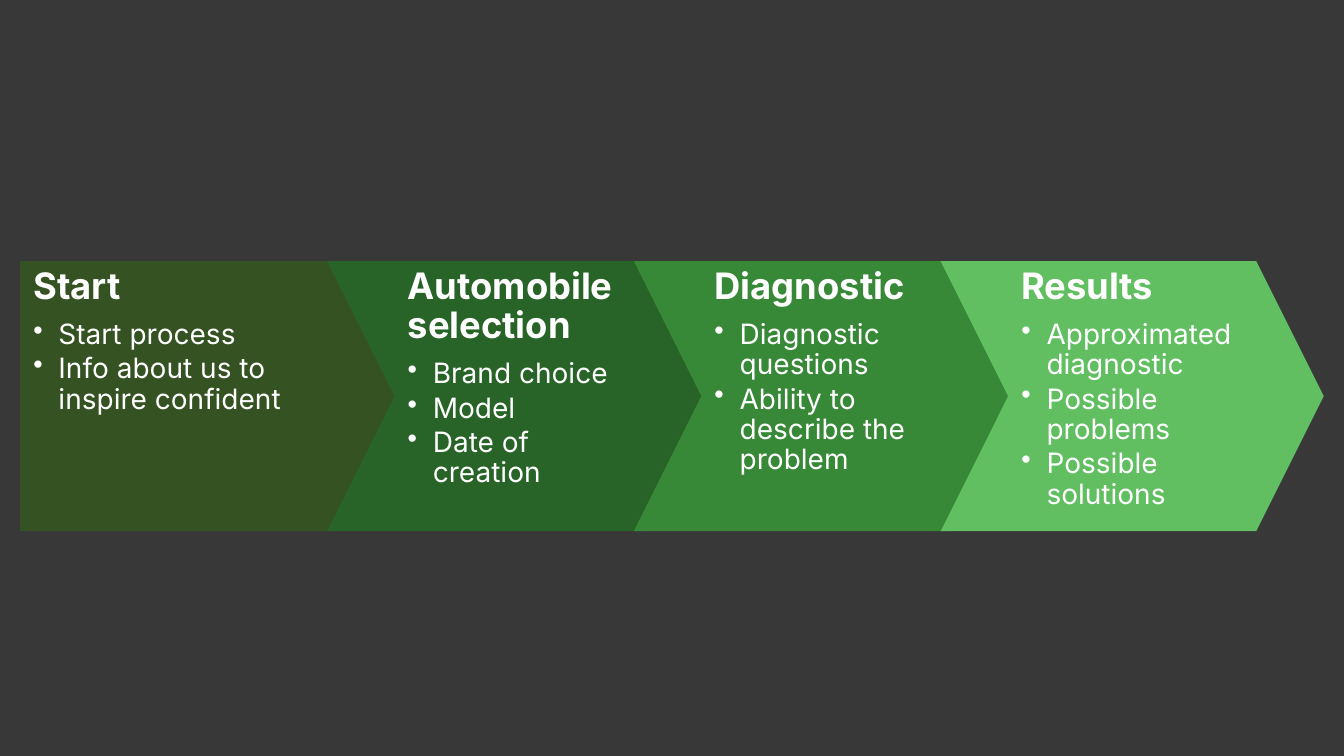
from lxml.etree import SubElement
from pptx import Presentation
from pptx.dml.color import RGBColor
from pptx.enum.shapes import MSO_SHAPE
from pptx.enum.text import MSO_ANCHOR, PP_ALIGN
from pptx.oxml.ns import qn
from pptx.util import Inches, Pt

STEPS = [
    ("Start", "355222", ["Start process", "Info about us to inspire confident"]),
    ("Automobile selection", "286428", ["Brand choice", "Model", "Date of creation"]),
    ("Diagnostic", "378937", ["Diagnostic questions", "Ability to describe the problem"]),
    ("Results", "61BF61", ["Approximated diagnostic", "Possible problems", "Possible solutions"]),
]
FIRST_LEFT, LAST_LEFT = 0.2, 9.33
TOP, STEP_WIDTH, STEP_HEIGHT = 2.59, 3.8, 2.68
POINT_RATIO = 0.25
POINT_DEPTH = POINT_RATIO * STEP_HEIGHT


def color(hex_value):
    return RGBColor.from_string(hex_value)


def apply(target, values):
    for name, value in values.items():
        setattr(target, name, value)


class ProcessSlide:
    """Holds the process style and the slide being drawn."""

    heading_font = {"name": "Inter", "size": Pt(26), "bold": True}
    bullet_font = {"name": "Inter", "size": Pt(20), "bold": False}
    heading_format = {"line_spacing": 0.9, "space_after": Pt(9.1), "alignment": PP_ALIGN.LEFT}
    bullet_format = {"line_spacing": 0.9, "space_after": Pt(3), "alignment": PP_ALIGN.LEFT, "level": 1}
    margins = {"margin_left": Inches(0.13), "margin_top": Inches(0.07), "margin_bottom": Inches(0.07)}

    def __init__(self, presentation, background):
        self.slide = presentation.slides.add_slide(presentation.slide_layouts[6])
        fill = self.slide.background.fill
        fill.solid()
        fill.fore_color.rgb = color(background)
        self.process = self.slide.shapes.add_group_shape()

    def arrow(self, preset, left, fill):
        arrow = self.process.shapes.add_shape(
            preset, Inches(left), Inches(TOP), Inches(STEP_WIDTH), Inches(STEP_HEIGHT))
        arrow.adjustments[0] = POINT_RATIO
        arrow.shadow.inherit = False
        arrow.fill.solid()
        arrow.fill.fore_color.rgb = color(fill)
        arrow.line.fill.background()

    def text(self, left, width, right_margin, heading, bullets):
        label = self.process.shapes.add_textbox(
            Inches(left), Inches(TOP), Inches(width), Inches(STEP_HEIGHT))
        frame = label.text_frame
        apply(frame, self.margins | {
            "margin_right": Inches(right_margin), "word_wrap": True,
            "vertical_anchor": MSO_ANCHOR.TOP})
        self.paragraph(frame.paragraphs[0], heading, self.heading_format, self.heading_font)
        for bullet in bullets:
            item = frame.add_paragraph()
            self.bullet(item)
            self.paragraph(item, bullet, self.bullet_format, self.bullet_font)

    def bullet(self, item):
        properties = item._p.get_or_add_pPr()
        properties.set("marL", str(Inches(0.25)))
        properties.set("indent", str(-Inches(0.25)))
        SubElement(properties, qn("a:buChar"), char="•")

    def paragraph(self, paragraph, words, layout, font):
        apply(paragraph, layout)
        run = paragraph.add_run()
        run.text = words
        apply(run.font, font)
        run.font.color.rgb = color("FFFFFF")


def main():
    presentation = Presentation()
    presentation.slide_width = Inches(13.33)
    presentation.slide_height = Inches(7.5)
    page = ProcessSlide(presentation, "383838")
    pitch = (LAST_LEFT - FIRST_LEFT) / (len(STEPS) - 1)
    for index, (heading, fill, bullets) in enumerate(STEPS):
        left = FIRST_LEFT + index * pitch
        if index == 0:
            page.arrow(MSO_SHAPE.PENTAGON, left, fill)
            page.text(left, STEP_WIDTH - POINT_DEPTH / 2, 0.54, heading, bullets)
        else:
            page.arrow(MSO_SHAPE.CHEVRON, left, fill)
            page.text(left + POINT_DEPTH, STEP_WIDTH - 2 * POINT_DEPTH, 0.13, heading, bullets)
    presentation.save("out.pptx")


if __name__ == "__main__":
    main()
